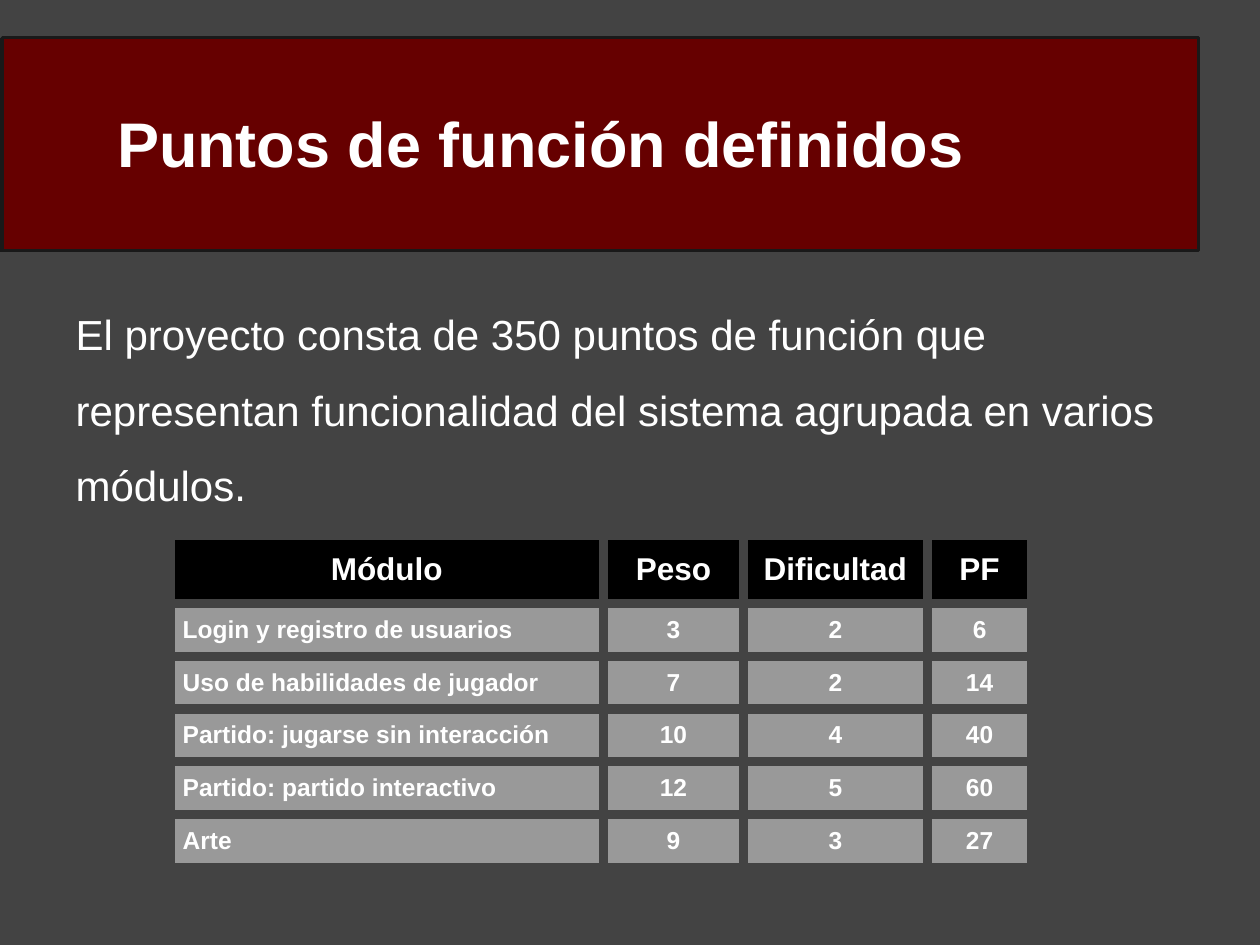
from dataclasses import dataclass

from lxml import etree
from pptx import Presentation
from pptx.dml.color import RGBColor
from pptx.enum.shapes import MSO_SHAPE
from pptx.enum.text import MSO_ANCHOR, MSO_AUTO_SIZE, PP_ALIGN
from pptx.oxml.ns import qn
from pptx.util import Inches, Pt

RECT = MSO_SHAPE.RECTANGLE
TOP, MIDDLE = MSO_ANCHOR.TOP, MSO_ANCHOR.MIDDLE
LEFT, CENTER = PP_ALIGN.LEFT, PP_ALIGN.CENTER
NO_FIT = MSO_AUTO_SIZE.NONE


@dataclass(frozen=True)
class Theme:
    font: str = "Arial"
    back: str = "434343"
    edge: str = "191919"
    band: str = "660000"
    head: str = "000000"
    cell: str = "999999"
    text: str = "FFFFFF"
    title: int = 36
    body: int = 24
    label: int = 18
    data: int = 14
    rule: int = 6
    inset: float = 0.1


@dataclass(frozen=True)
class Box:
    x: float
    y: float
    w: float
    h: float

    def place(self) -> tuple:
        return tuple(Inches(v) for v in (self.x, self.y, self.w, self.h))


@dataclass(frozen=True)
class Module:
    name: str
    weight: int
    level: int

    def row(self) -> tuple:
        return self.name, self.weight, self.level, self.weight * self.level


THEME = Theme()
HEADS = ("Módulo", "Peso", "Dificultad", "PF")
MODULES = (
    Module("Login y registro de usuarios", 3, 2),
    Module("Uso de habilidades de jugador", 7, 2),
    Module("Partido: jugarse sin interacción", 10, 4),
    Module("Partido: partido interactivo", 12, 5),
    Module("Arte", 9, 3),
)
WIDTHS = (3.44, 1.11, 1.46, 0.83)
HEAD_H, ROW_H = 0.54, 0.4


def paint(fill, color: str) -> None:
    fill.solid()
    fill.fore_color.rgb = RGBColor.from_string(color)


def write(para, text: str, size: int, bold: bool, align) -> None:
    para.alignment = align
    run = para.add_run()
    run.text = text
    font = run.font
    font.name, font.size, font.bold = THEME.font, Pt(size), bold
    font.color.rgb = RGBColor.from_string(THEME.text)


def pad(part) -> None:
    """Give a cell or text frame equal margins."""
    part.margin_left = part.margin_right = Inches(THEME.inset)
    part.margin_top = part.margin_bottom = Inches(THEME.inset)


def add_band(slide, box: Box, color: str, line: bool) -> None:
    band = slide.shapes.add_shape(RECT, *box.place())
    band.shadow.inherit = False
    paint(band.fill, color)
    if line:
        paint(band.line.fill, THEME.edge)
        band.line.width = Pt(1.5)
    else:
        band.line.fill.background()


def fill_holder(slide, holder, box: Box, text: str, size: int,
                bold: bool, anchor, indent: float):
    """Place a template holder above the shapes drawn so far."""
    slide.shapes._spTree.append(holder._element)
    holder.left, holder.top, holder.width, holder.height = box.place()
    frame = holder.text_frame
    frame.word_wrap, frame.auto_size = True, NO_FIT
    frame.vertical_anchor = anchor
    pad(frame)
    para = frame.paragraphs[0]
    para.space_before = Pt(0)
    write(para, text, size, bold, LEFT)
    props = para._p.get_or_add_pPr()
    props.set("marL", "0")
    props.set("indent", str(Inches(indent)))
    etree.SubElement(props, qn("a:buNone"))
    return para


def add_rules(cell) -> None:
    """Draw the gaps between cells as thick borders."""
    props = cell._tc.get_or_add_tcPr()
    for spot, side in enumerate("LRTB"):
        line = etree.Element(qn(f"a:ln{side}"), w=str(Pt(THEME.rule)))
        fill = etree.SubElement(line, qn("a:solidFill"))
        etree.SubElement(fill, qn("a:srgbClr"), val=THEME.back)
        props.insert(spot, line)


def add_grid(slide, x: float, y: float) -> None:
    rows = [HEADS, *(item.row() for item in MODULES)]
    box = Box(x, y, sum(WIDTHS), HEAD_H + ROW_H * len(MODULES))
    grid = slide.shapes.add_table(len(rows), len(HEADS), *box.place()).table
    for col, width in zip(grid.columns, WIDTHS):
        col.width = Inches(width)
    for r, row in enumerate(rows):
        head = r == 0
        grid.rows[r].height = Inches(HEAD_H if head else ROW_H)
        for c, value in enumerate(row):
            cell = grid.cell(r, c)
            pad(cell)
            cell.vertical_anchor = MIDDLE if head else TOP
            paint(cell.fill, THEME.head if head else THEME.cell)
            add_rules(cell)
            write(cell.text_frame.paragraphs[0], str(value),
                  THEME.label if head else THEME.data, True,
                  CENTER if head or c else LEFT)


def main() -> None:
    deck = Presentation()
    deck.slide_width, deck.slide_height = Inches(10), Inches(7.5)
    slide = deck.slides.add_slide(deck.slide_layouts[1])
    paint(slide.background.fill, THEME.back)
    title, body = slide.placeholders

    # Title band
    add_band(slide, Box(0, 0.3, 9.5, 1.7), THEME.edge, False)
    add_band(slide, Box(0.02, 0.3, 9.49, 1.69), THEME.band, True)
    fill_holder(slide, title, Box(0.5, 0.3, 9, 1.66),
                "Puntos de función definidos", THEME.title, True, MIDDLE, 0.33)

    # Module table
    add_grid(slide, 1.35, 4.25)

    # Summary
    para = fill_holder(
        slide, body, Box(0.5, 2.15, 8.83, 1.99),
        "El proyecto consta de 350 puntos de función que representan "
        "funcionalidad del sistema agrupada en varios módulos.",
        THEME.body, False, TOP, 0)
    para.line_spacing = 1.5

    deck.save("out.pptx")


if __name__ == "__main__":
    main()
